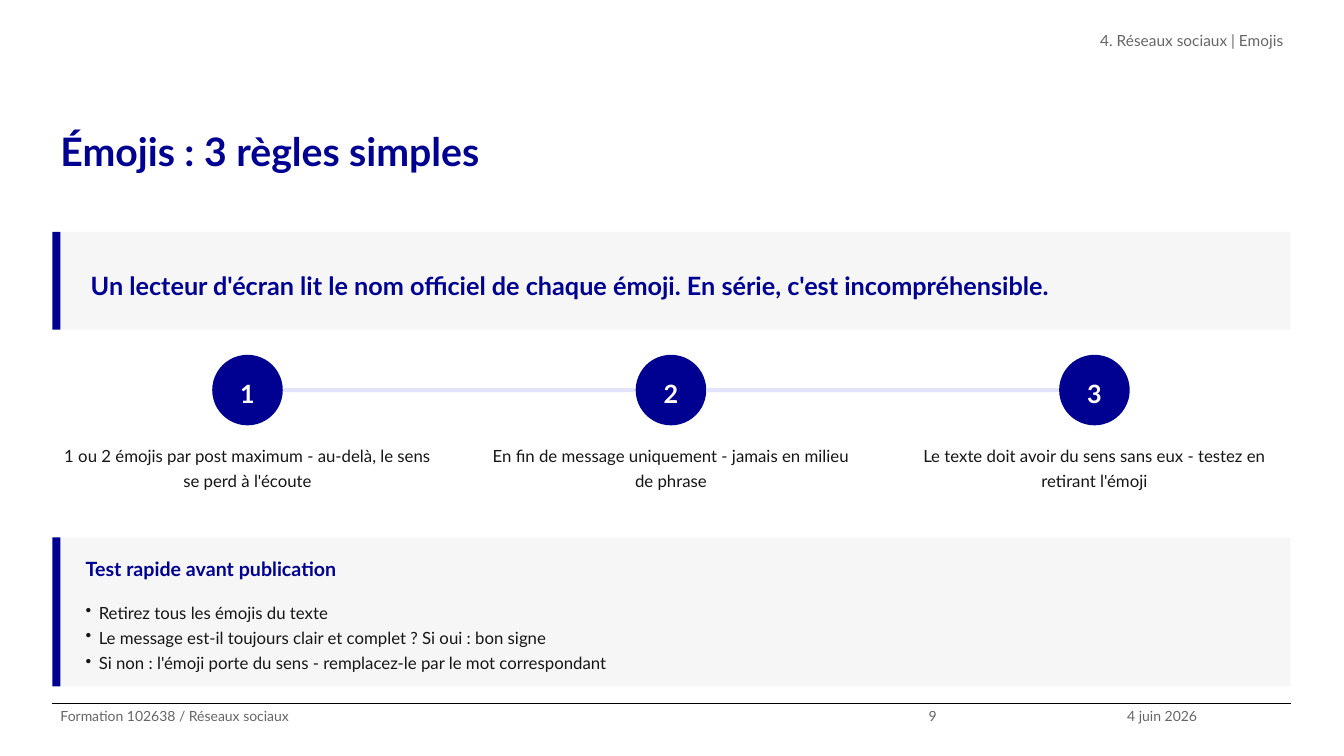
"""Build the slide on the three simple rules for emojis."""
from lxml import etree
from pptx import Presentation
from pptx.dml.color import RGBColor
from pptx.enum.shapes import MSO_CONNECTOR, MSO_SHAPE
from pptx.enum.text import MSO_ANCHOR, PP_ALIGN
from pptx.oxml.ns import qn
from pptx.util import Inches, Pt

TITLE = "Émojis : 3 règles simples"
SECTION = "4. Réseaux sociaux | Emojis"
KEY_MESSAGE = "Un lecteur d'écran lit le nom officiel de chaque émoji. En série, c'est incompréhensible."
RULES = [
    "1 ou 2 émojis par post maximum - au-delà, le sens se perd à l'écoute",
    "En fin de message uniquement - jamais en milieu de phrase",
    "Le texte doit avoir du sens sans eux - testez en retirant l'émoji",
]
TEST_HEADING = "Test rapide avant publication"
TEST_STEPS = [
    "Retirez tous les émojis du texte",
    "Le message est-il toujours clair et complet ? Si oui : bon signe",
    "Si non : l'émoji porte du sens - remplacez-le par le mot correspondant",
]
FOOTER = [
    ("Formation 102638 / Réseaux sociaux", 0.52, 8.61),
    ("9", 9.13, 1.97),
    ("4 juin 2026", 11.1, 1.71),
]

FONT = "Lato"
NAVY = RGBColor(0x00, 0x00, 0x91)
LAVENDER = RGBColor(0xE3, 0xE3, 0xFD)
PALE_GRAY = RGBColor(0xF6, 0xF6, 0xF6)
GRAY = RGBColor(0x66, 0x66, 0x66)
INK = RGBColor(0x16, 0x16, 0x16)
BLACK = RGBColor(0, 0, 0)
WHITE = RGBColor(0xFF, 0xFF, 0xFF)
LEFT, CENTER, RIGHT = PP_ALIGN.LEFT, PP_ALIGN.CENTER, PP_ALIGN.RIGHT
TOP, MIDDLE = MSO_ANCHOR.TOP, MSO_ANCHOR.MIDDLE
RECTANGLE, OVAL = MSO_SHAPE.RECTANGLE, MSO_SHAPE.OVAL
STRAIGHT = MSO_CONNECTOR.STRAIGHT

MARGIN, CONTENT_WIDTH = 0.52, 12.28
ACCENT_WIDTH = 0.08
RULE_WIDTH, RULE_PITCH = 3.87, 4.2
CIRCLE_TOP, CIRCLE_SIZE = 3.52, 0.7
LINK_HEIGHT = 0.04
FOOTER_TOP = 6.98


def write(shape, lines, size, color, bold=False, align=LEFT, anchor=TOP, inset=0.05, bullets=False):
    frame = shape.text_frame
    frame.word_wrap = True
    frame.vertical_anchor = anchor
    frame.margin_left = frame.margin_right = Inches(0.08)
    frame.margin_top = frame.margin_bottom = Inches(inset)
    frame.text = "\n".join(lines)
    for paragraph in frame.paragraphs:
        if bullets:
            properties = paragraph._p.get_or_add_pPr()
            properties.set("marL", str(Inches(0.13)))
            properties.set("indent", str(-Inches(0.13)))
            etree.SubElement(properties, qn("a:buChar")).set("char", "•")
        paragraph.alignment = align
        paragraph.line_spacing = 1.25
        for run in paragraph.runs:
            run.font.name = FONT
            run.font.size = Pt(size)
            run.font.bold = bold
            run.font.color.rgb = color


def add_text(slide, box, lines, size, color, **style):
    write(slide.shapes.add_textbox(*map(Inches, box)), lines, size, color, **style)


def add_filled(slide, kind, box, color):
    shape = slide.shapes.add_shape(kind, *map(Inches, box))
    shape.shadow.inherit = False
    shape.fill.solid()
    shape.fill.fore_color.rgb = color
    shape.line.fill.background()
    return shape


def add_panel(slide, top, height):
    add_filled(slide, RECTANGLE, (MARGIN + ACCENT_WIDTH, top, CONTENT_WIDTH - ACCENT_WIDTH, height), PALE_GRAY)
    add_filled(slide, RECTANGLE, (MARGIN, top, ACCENT_WIDTH, height), NAVY)


def add_rules(slide):
    for index, rule in enumerate(RULES):
        left = MARGIN + index * RULE_PITCH
        circle_left = left + (RULE_WIDTH - CIRCLE_SIZE) / 2
        circle = add_filled(slide, OVAL, (circle_left, CIRCLE_TOP, CIRCLE_SIZE, CIRCLE_SIZE), NAVY)
        write(circle, [str(index + 1)], 18, WHITE, bold=True, align=CENTER, anchor=MIDDLE)
        add_text(slide, (left, 4.32, RULE_WIDTH, 0.7), [rule], 12, INK, align=CENTER)
        if index < len(RULES) - 1:
            link_top = CIRCLE_TOP + (CIRCLE_SIZE - LINK_HEIGHT) / 2
            link = (circle_left + CIRCLE_SIZE, link_top, RULE_PITCH - CIRCLE_SIZE, LINK_HEIGHT)
            add_filled(slide, RECTANGLE, link, LAVENDER)


def add_footer(slide):
    ends = (MARGIN, FOOTER_TOP, MARGIN + CONTENT_WIDTH, FOOTER_TOP)
    line = slide.shapes.add_connector(STRAIGHT, *map(Inches, ends))
    line.line.color.rgb = BLACK
    line.line.width = Pt(0.8)
    etree.SubElement(line._element.spPr, qn("a:effectLst"))
    for text, left, width in FOOTER:
        add_text(slide, (left, FOOTER_TOP, width, 0.52), [text], 10, GRAY, inset=0)


def main():
    presentation = Presentation()
    presentation.slide_width = Inches(13.33)
    presentation.slide_height = Inches(7.5)
    slide = presentation.slides.add_slide(presentation.slide_layouts[6])
    add_text(slide, (4.83, 0.26, 7.98, 0.52), [SECTION], 11, GRAY, align=RIGHT, inset=0)
    add_text(slide, (MARGIN, 1.15, CONTENT_WIDTH, 1.05), [TITLE], 28, NAVY, bold=True, inset=0)
    add_panel(slide, 2.3, 0.97)
    add_text(slide, (0.82, 2.4, 11.88, 0.78), [KEY_MESSAGE], 18, NAVY, bold=True, anchor=MIDDLE)
    add_rules(slide)
    add_panel(slide, 5.33, 1.48)
    add_text(slide, (0.77, 5.42, 11.93, 0.4), [TEST_HEADING], 14, NAVY, bold=True)
    add_text(slide, (0.77, 5.88, 11.93, 0.82), TEST_STEPS, 12, INK, bullets=True)
    add_footer(slide)
    presentation.save("out.pptx")


if __name__ == "__main__":
    main()
